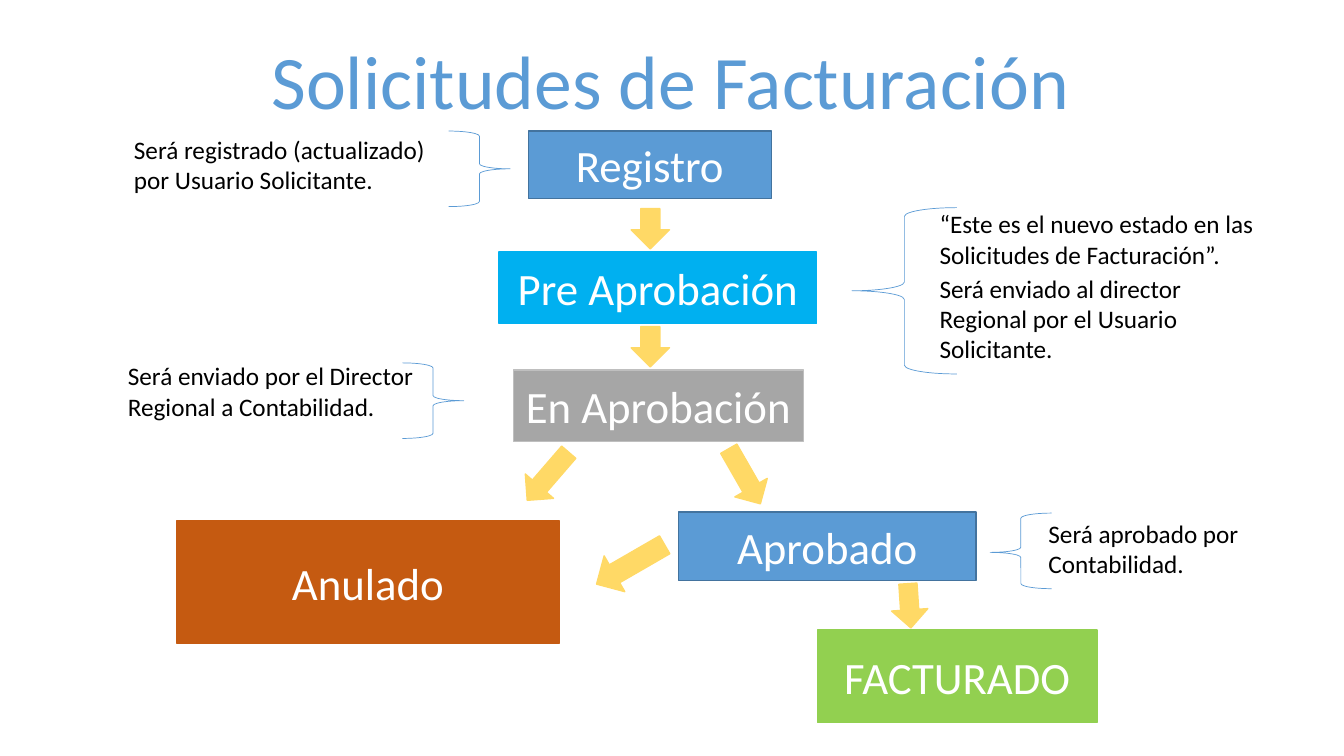
import pptx
import pptx.dml.color
import pptx.enum.shapes
import pptx.enum.text
import pptx.util

EMU_PER_PX = 9144  # 100 px to the inch
FONT = "Calibri"
COLORS = {
    "blue": "5B9BD5", "dark_blue": "43739E", "cyan": "00B0F0",
    "gray": "A6A6A6", "light_gray": "BFBFBF", "green": "92D050",
    "orange": "C55A11", "yellow": "FFD966", "white": "FFFFFF", "black": "000000",
}

# Boxes are (left, top, width, height) in px.
TITLE = ("Solicitudes de Facturación", (255, 29, 820, 101))
STATES = [  # text, box, fill, outline
    ("Registro", (524, 130, 241, 67), "blue", "dark_blue"),
    ("Pre Aprobación", (495, 250, 315, 71), "cyan", "cyan"),
    ("En Aprobación", (509, 367, 288, 71), "gray", "light_gray"),
    ("Aprobado", (673, 508, 295, 68), "blue", "dark_blue"),
    ("FACTURADO", (811, 625, 277, 92), "green", "green"),
    ("Anulado", (175, 517, 380, 121), "orange", "orange"),
]
ARROWS = [  # box, rotation in degrees
    ((626, 207, 38, 40), 0),
    ((626, 324, 38, 40), 0),
    ((720, 441, 37, 63), 330.2),
    ((525, 441, 37, 63), 40.8),
    ((884, 579, 36, 44), 356.2),
    ((605, 521, 41, 78), 60),
]
BRACES = [  # side, box, position of the tip
    ("RIGHT_BRACE", (445, 130, 61, 75), 0.5),
    ("LEFT_BRACE", (845, 206, 104, 165), 0.5),
    ("RIGHT_BRACE", (399, 360, 61, 75), 0.5),
    ("LEFT_BRACE", (982, 509, 61, 75), 0.52),
]
NOTES = [
    ("Será registrado (actualizado) por Usuario Solicitante.", (123, 128, 312, 71)),
    ("“Este es el nuevo estado en las Solicitudes de Facturación”.", (922, 202, 364, 71)),
    ("Será enviado al director Regional por el Usuario Solicitante.", (922, 266, 312, 101)),
    ("Será enviado por el Director Regional a Contabilidad.", (117, 353, 312, 71)),
    ("Será aprobado por Contabilidad.", (1030, 509, 312, 71)),
]


def px(length):
    return pptx.util.Emu(length * EMU_PER_PX)


def rgb(name):
    return pptx.dml.color.RGBColor.from_string(COLORS[name])


def write(shape, text, *, size, color, align="LEFT", anchor="TOP", wrap=True):
    frame = shape.text_frame
    frame.word_wrap = wrap
    frame.vertical_anchor = getattr(pptx.enum.text.MSO_ANCHOR, anchor)
    paragraph = frame.paragraphs[0]
    paragraph.alignment = getattr(pptx.enum.text.PP_ALIGN, align)
    run = paragraph.add_run()
    run.text = text
    run.font.name = FONT
    run.font.size = pptx.util.Pt(size)
    run.font.color.rgb = rgb(color)


def add_text(slide, text, box, **text_format):
    shape = slide.shapes.add_textbox(*map(px, box))
    write(shape, text, **text_format)
    shape.text_frame.auto_size = pptx.enum.text.MSO_AUTO_SIZE.SHAPE_TO_FIT_TEXT


def add_preset(slide, kind, box, *, line, fill=None, line_width=1):
    """Add a preset shape without shadow; no fill name leaves it hollow."""
    preset = getattr(pptx.enum.shapes.MSO_SHAPE, kind)
    shape = slide.shapes.add_shape(preset, *map(px, box))
    shape.shadow.inherit = False
    if fill:
        shape.fill.solid()
        shape.fill.fore_color.rgb = rgb(fill)
    else:
        shape.fill.background()
    shape.line.color.rgb = rgb(line)
    shape.line.width = pptx.util.Pt(line_width)
    return shape


def main():
    presentation = pptx.Presentation()
    presentation.slide_width, presentation.slide_height = px(1333), px(750)
    slide = presentation.slides.add_slide(presentation.slide_layouts[6])

    add_text(slide, *TITLE, size=54, color="blue", align="CENTER", wrap=False)
    for text, box, fill, line in STATES:
        state = add_preset(slide, "RECTANGLE", box, fill=fill, line=line)
        write(state, text, size=32, color="white", align="CENTER", anchor="MIDDLE")
    for box, rotation in ARROWS:
        arrow = add_preset(slide, "DOWN_ARROW", box, fill="yellow", line="yellow")
        arrow.rotation = rotation
    for side, box, tip in BRACES:
        brace = add_preset(slide, side, box, line="blue", line_width=0.5)
        brace.adjustments[1] = tip
    for text, box in NOTES:
        add_text(slide, text, box, size=18, color="black")

    presentation.save("out.pptx")


if __name__ == "__main__":
    main()
